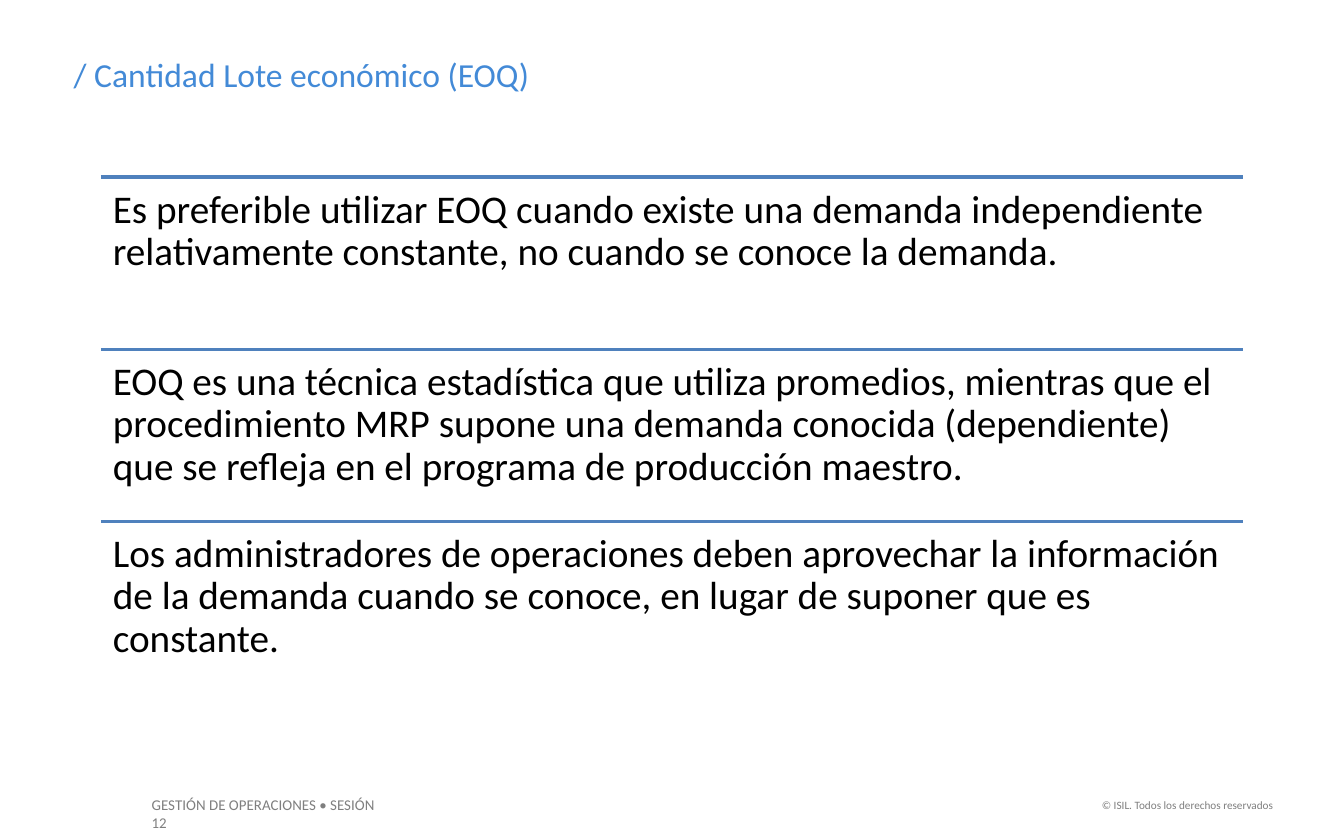
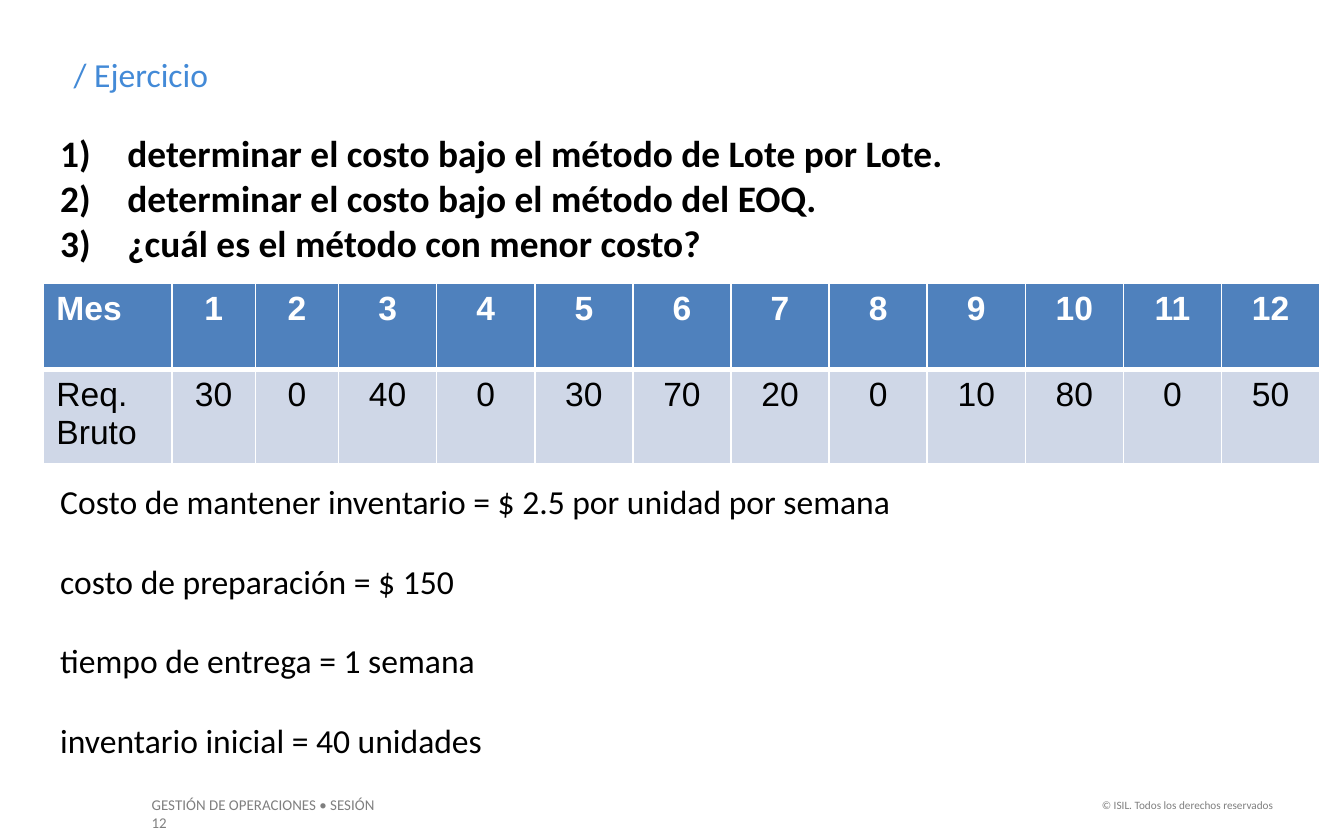
from pptx import Presentation
from pptx.util import Inches, Pt
from pptx.dml.color import RGBColor
from pptx.enum.shapes import MSO_CONNECTOR
from pptx.enum.text import MSO_AUTO_SIZE, PP_ALIGN
from pptx.oxml.ns import qn
from lxml.etree import SubElement

# Content
EOQ_TITLE = "/ Cantidad Lote económico (EOQ)"
EOQ_POINTS = [
    "Es preferible utilizar EOQ cuando existe una demanda independiente "
    "relativamente constante, no cuando se conoce la demanda.",
    "EOQ es una técnica estadística que utiliza promedios, mientras que el "
    "procedimiento MRP supone una demanda conocida (dependiente) que se "
    "refleja en el programa de producción maestro.",
    "Los administradores de operaciones deben aprovechar la información de la "
    "demanda cuando se conoce, en lugar de suponer que es constante.",
]
EXERCISE_TITLE = "/ Ejercicio"
QUESTIONS = [
    "determinar el costo bajo el método de Lote por Lote.",
    "determinar el costo bajo el método del EOQ.",
    "¿cuál es el método con menor costo?",
]
DEMAND = [30, 0, 40, 0, 30, 70, 20, 0, 10, 80, 0, 50]
ROWS = [["Mes", *range(1, len(DEMAND) + 1)], ["Req. Bruto", *DEMAND]]
COSTS = [
    "Costo de mantener inventario = $ 2.5 por unidad por semana",
    "costo de preparación = $ 150",
    "tiempo de entrega = 1 semana",
    "inventario inicial = 40 unidades",
]
COURSE = "GESTIÓN DE OPERACIONES • SESIÓN 12"
RIGHTS = "© ISIL. Todos los derechos reservados"

# Shared style
COLORS = {"title": "438AD7", "accent": "4F81BD", "band": "CFD7E7",
          "footer": "7F7F7F", "text": "000000", "white": "FFFFFF"}
INSETS = (0.1, 0.05, 0.1, 0.05)
COL_WIDTHS = [0.96] + [0.62] * 2 + [0.73] * 10
ROW_HEIGHTS = [0.64, 0.58]


def rgb(name):
    return RGBColor.from_string(COLORS[name])


def style(p, size, color, bold=False, font="Calibri"):
    for r in p.runs:
        r.font.name, r.font.size, r.font.bold = font, Pt(size), bold
        r.font.color.rgb = rgb(color)


def add_text(slide, box, lines, size, color="text", bold=False,
             align=PP_ALIGN.LEFT, insets=INSETS, grow=True):
    sp = slide.shapes.add_textbox(*map(Inches, box))
    tf = sp.text_frame
    tf.word_wrap = True
    tf.auto_size = MSO_AUTO_SIZE.SHAPE_TO_FIT_TEXT if grow else MSO_AUTO_SIZE.NONE
    (tf.margin_left, tf.margin_top,
     tf.margin_right, tf.margin_bottom) = map(Inches, insets)
    tf.text = "\n".join(lines)
    for p in tf.paragraphs:
        p.alignment = align
        style(p, size, color, bold)
    return tf


def add_slide(prs, title):
    slide = prs.slides.add_slide(prs.slide_layouts[6])
    add_text(slide, (1.03, 5.87, 2.02, 0.24), [COURSE], 8, "footer",
             insets=(0.1, 0.05, 0.15, 0.05))
    add_text(slide, (8.03, 5.89, 1.54, 0.2), [RIGHTS], 6, "footer",
             align=PP_ALIGN.RIGHT)
    add_text(slide, (0.45, 0.35, 7.88, 0.4), [title], 18, "title")
    return slide


def add_rule(slide, left, right, y):
    line = slide.shapes.add_connector(
        MSO_CONNECTOR.STRAIGHT, *map(Inches, (left, y, right, y)))
    line.line.color.rgb = rgb("accent")
    line.line.width = Pt(2)
    SubElement(line._element.spPr, qn("a:effectLst"))


def number(p):
    pPr = p._p.get_or_add_pPr()
    pPr.set("marL", str(Inches(0.5)))
    pPr.set("indent", str(-Inches(0.5)))
    SubElement(pPr, qn("a:buFont"), typeface="+mj-lt")
    SubElement(pPr, qn("a:buAutoNum"), type="arabicParenR")


def set_borders(cell, **widths):
    tcPr = cell._tc.get_or_add_tcPr()
    for side, width in widths.items():
        ln = SubElement(tcPr, qn(f"a:ln{side}"), w=str(Pt(width)))
        fill = SubElement(ln, qn("a:solidFill"))
        SubElement(fill, qn("a:srgbClr"), val=COLORS["white"])


def add_demand_table(slide, left, top):
    size = (sum(COL_WIDTHS), sum(ROW_HEIGHTS))
    table = slide.shapes.add_table(
        len(ROWS), len(COL_WIDTHS), *map(Inches, (left, top, *size))).table
    for col, width in zip(table.columns, COL_WIDTHS):
        col.width = Inches(width)
    for row, height in zip(table.rows, ROW_HEIGHTS):
        row.height = Inches(height)
    for i, values in enumerate(ROWS):
        header = i == 0
        for j, value in enumerate(values):
            cell = table.cell(i, j)
            set_borders(cell, L=1, R=1, T=1 if header else 3, B=3 if header else 1)
            cell.fill.solid()
            cell.fill.fore_color.rgb = rgb("accent" if header else "band")
            p = cell.text_frame.paragraphs[0]
            p.text = str(value)
            p.alignment = PP_ALIGN.CENTER if j else PP_ALIGN.LEFT
            style(p, 18, "white" if header else "text", header, "Arial")


def build_eoq(prs):
    slide = add_slide(prs, EOQ_TITLE)
    left, top, width, height = 0.75, 1.32, 8.5, 1.28
    for i, point in enumerate(EOQ_POINTS):
        y = top + i * height
        add_rule(slide, left, left + width, y)
        tf = add_text(slide, (left, y, width, height), [point], 21,
                      insets=(0.09,) * 4, grow=False)
        tf.paragraphs[0].line_spacing = 0.9


def build_exercise(prs):
    slide = add_slide(prs, EXERCISE_TITLE)
    # Numbered questions
    tf = add_text(slide, (0.35, 0.92, 7.67, 1.11), QUESTIONS, 20, bold=True,
                  align=PP_ALIGN.JUSTIFY)
    for p in tf.paragraphs:
        number(p)
    # Monthly demand
    add_demand_table(slide, 0.32, 2.11)
    # Cost data
    tf = add_text(slide, (0.35, 3.53, 8.74, 2.52), COSTS, 18)
    for p in tf.paragraphs[1:]:
        p.space_before = Pt(21)


def main():
    prs = Presentation()
    prs.slide_width, prs.slide_height = Inches(10), Inches(6.25)
    build_eoq(prs)
    build_exercise(prs)
    prs.save("out.pptx")


if __name__ == "__main__":
    main()
